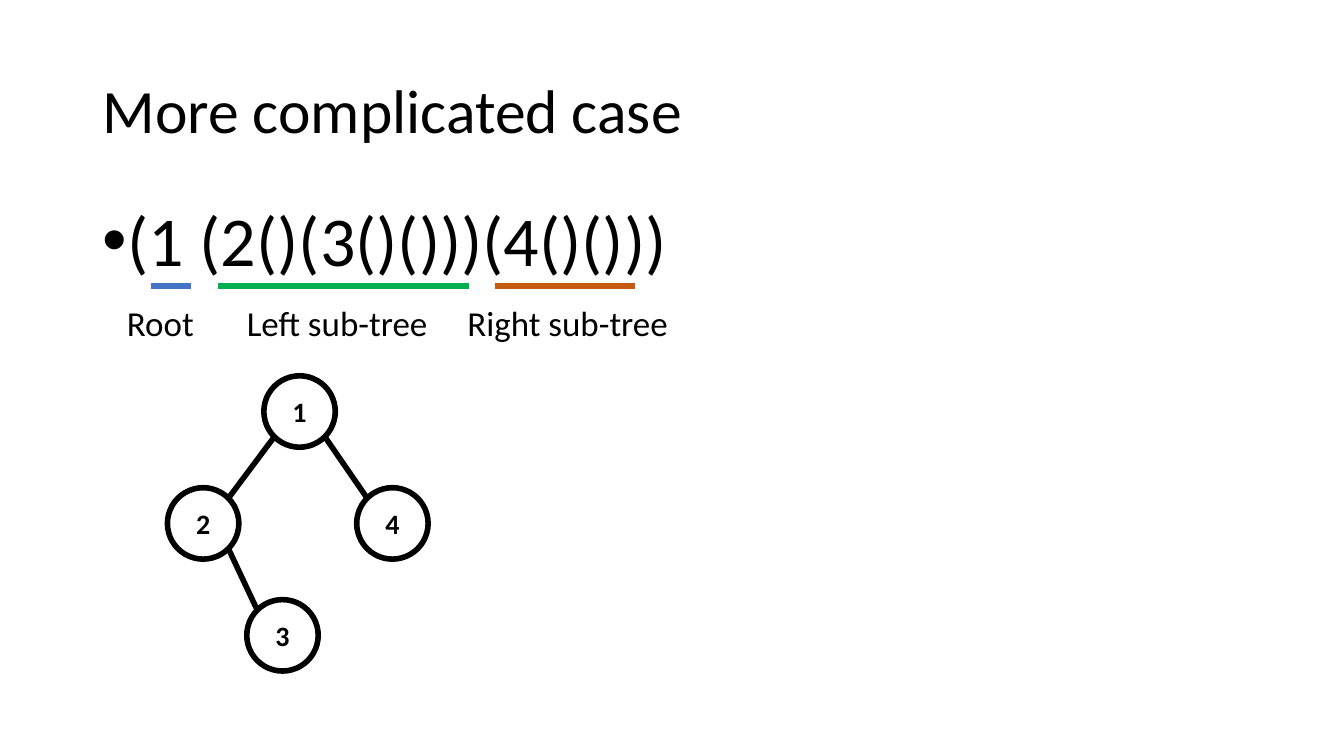
from math import sqrt

from lxml.etree import SubElement
from pptx import Presentation
from pptx.dml.color import RGBColor
from pptx.enum.shapes import MSO_CONNECTOR, MSO_SHAPE
from pptx.enum.text import MSO_ANCHOR, MSO_AUTO_SIZE, PP_ALIGN
from pptx.oxml.ns import qn
from pptx.util import Cm, Pt

BLACK = RGBColor(0x00, 0x00, 0x00)
BLUE = RGBColor(0x44, 0x72, 0xC4)
GREEN = RGBColor(0x00, 0xB0, 0x50)
ORANGE = RGBColor(0xC5, 0x5A, 0x11)

NODE_SIZE = 1.8
LEVEL_TOP = 9.47
LEVEL_STEP = 2.82
UNDERLINE_Y = 7.21
LABEL_TOP = 7.47


def write(frame, text, size, bold=False, align=PP_ALIGN.LEFT, anchor=MSO_ANCHOR.TOP,
          line_spacing=None, space_before=0):
    frame.word_wrap = True
    frame.auto_size = MSO_AUTO_SIZE.NONE
    frame.vertical_anchor = anchor
    frame.text = text
    paragraph = frame.paragraphs[0]
    paragraph.alignment = align
    paragraph.line_spacing = line_spacing
    paragraph.space_before = Pt(space_before)
    font = paragraph.runs[0].font
    font.name = "Calibri"
    font.size = Pt(size)
    font.bold = bold
    font.color.rgb = BLACK
    return paragraph


class TreeSlide:
    line_width = Pt(4)

    def __init__(self, presentation):
        self.slide = presentation.slides.add_slide(presentation.slide_layouts[5])
        self.shapes = self.slide.shapes

    def title(self, text):
        title = self.shapes.title
        title.left, title.top, title.width, title.height = Cm(2.33), Cm(1.01), Cm(29.21), Cm(3.68)
        write(title.text_frame, text, 44, anchor=MSO_ANCHOR.MIDDLE, line_spacing=0.9)

    def text(self, text, left, top, width, height, size, **style):
        box = self.shapes.add_textbox(Cm(left), Cm(top), Cm(width), Cm(height))
        return write(box.text_frame, text, size, **style)

    def bullet(self, text, left, top, width, height, size):
        paragraph = self.text(text, left, top, width, height, size,
                              line_spacing=0.9, space_before=10)
        properties = paragraph._p.get_or_add_pPr()
        indent = Cm(0.63)
        properties.set("marL", str(indent))
        properties.set("indent", str(-indent))
        SubElement(properties, qn("a:buFont"), typeface="Arial")
        SubElement(properties, qn("a:buChar"), char="•")

    def line(self, start, end, color=BLACK):
        connector = self.shapes.add_connector(
            MSO_CONNECTOR.STRAIGHT, *(Cm(value) for value in (*start, *end)))
        connector.line.color.rgb = color
        connector.line.width = self.line_width
        SubElement(connector._element.spPr, qn("a:effectLst"))

    def node(self, text, center):
        x, y = center
        circle = self.shapes.add_shape(
            MSO_SHAPE.OVAL, Cm(x - NODE_SIZE / 2), Cm(y - NODE_SIZE / 2),
            Cm(NODE_SIZE), Cm(NODE_SIZE))
        circle.shadow.inherit = False
        circle.fill.background()
        circle.line.color.rgb = BLACK
        circle.line.width = self.line_width
        write(circle.text_frame, text, 20, bold=True,
              align=PP_ALIGN.CENTER, anchor=MSO_ANCHOR.MIDDLE)

    def edge(self, parent, child):
        """Join two node centers at the diagonal points of their circles."""
        offset = NODE_SIZE / 2 / sqrt(2)
        side = offset if child[0] > parent[0] else -offset
        self.line((parent[0] + side, parent[1] + offset),
                  (child[0] - side, child[1] - offset))


def main():
    presentation = Presentation()
    presentation.slide_width, presentation.slide_height = Cm(33.87), Cm(19.05)
    tree = TreeSlide(presentation)
    tree.title("More complicated case")
    tree.bullet("(1 (2()(3()()))(4()()))", 2.33, 5.07, 29.21, 12.09, 50)

    parts = [
        # text, label left, label width, underline start, underline end, color
        ("Root", 2.95, 2.9, 3.81, 4.81, BLUE),
        ("Left sub-tree", 5.97, 5.79, 5.49, 11.81, GREEN),
        ("Right sub-tree", 11.53, 5.79, 12.47, 16.0, ORANGE),
    ]
    for text, left, width, start, end, color in parts:
        tree.line((start, UNDERLINE_Y), (end, UNDERLINE_Y), color)
        tree.text(text, left, LABEL_TOP, width, 1.32, 25)

    places = {"1": (7.55, 0), "2": (5.12, 1), "3": (7.12, 2), "4": (9.89, 1)}
    centers = {name: (x, LEVEL_TOP + NODE_SIZE / 2 + level * LEVEL_STEP)
               for name, (x, level) in places.items()}
    for name, center in centers.items():
        tree.node(name, center)
    for parent, child in ("12", "23", "14"):
        tree.edge(centers[parent], centers[child])

    presentation.save("out.pptx")


if __name__ == "__main__":
    main()
